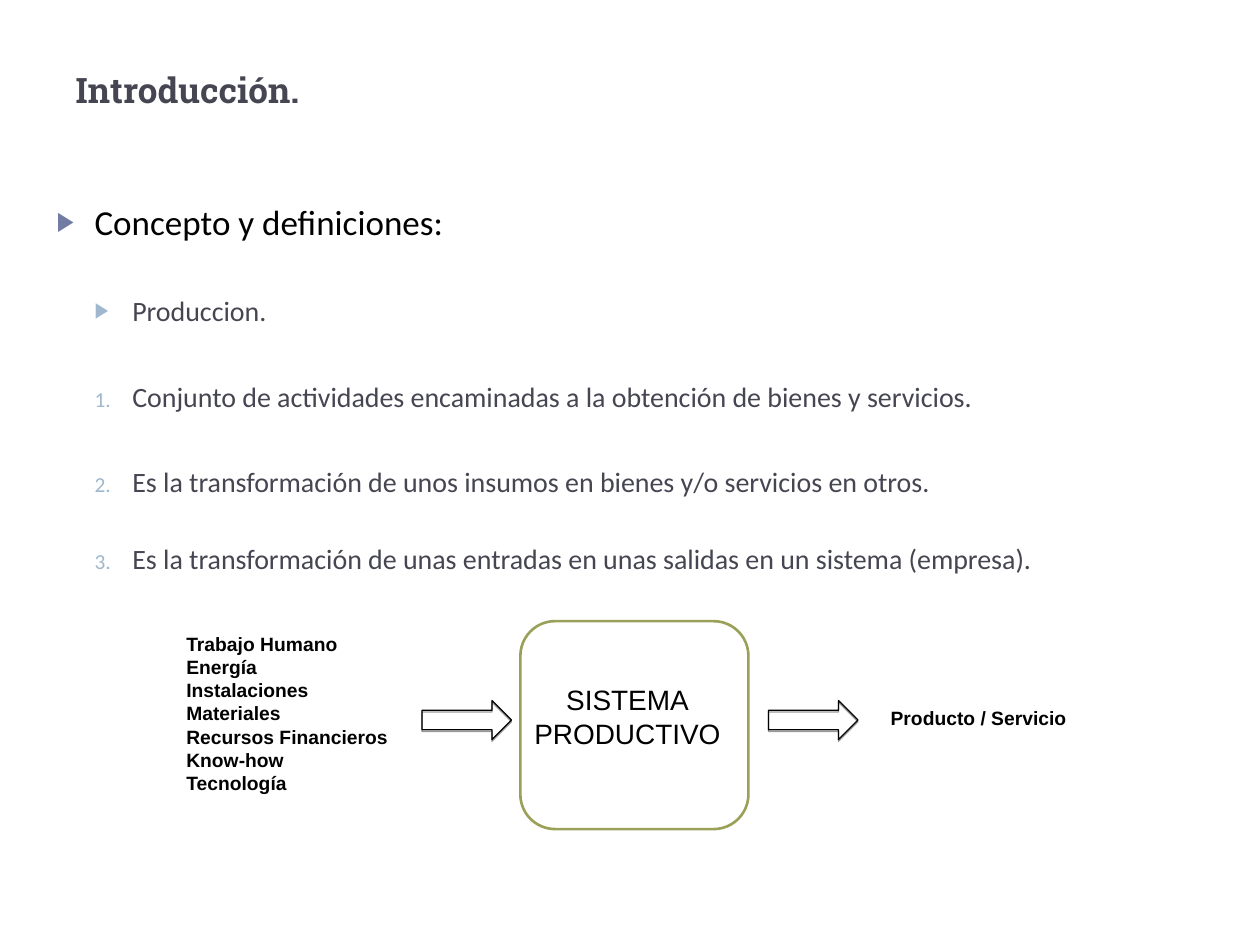
from dataclasses import dataclass

from lxml import etree
from pptx import Presentation, util as u
from pptx.dml.color import RGBColor
from pptx.enum import shapes, text
from pptx.oxml import ns

COLS, ROWS = 100, 75


@dataclass(frozen=True)
class Theme:
    heading_font: str = "Roboto Slab"
    body_font: str = "Calibri"
    diagram_font: str = "Arial"
    heading: str = "464653"
    ink: str = "000000"
    bullet: str = "727CA3"
    sub_bullet: str = "9FB8CD"
    frame: str = "9AA058"
    large: int = 20
    medium: int = 16
    small: int = 11


def add_xml(parent, tag, **attrs):
    return etree.SubElement(parent, ns.qn(tag), attrs)


class Deck:
    def __init__(self, theme):
        self.theme = theme
        self.prs = Presentation()
        self.prs.slide_width, self.prs.slide_height = u.Inches(10), u.Inches(7.5)
        self.s = self.prs.slides.add_slide(self.prs.slide_layouts[1])

    def box(self, col, row, cols, rows):
        """Convert grid cells to left, top, width and height."""
        cw, rh = self.prs.slide_width / COLS, self.prs.slide_height / ROWS
        return [round(v) for v in (col * cw, row * rh, cols * cw, rows * rh)]

    def place(self, sp, cells):
        sp.left, sp.top, sp.width, sp.height = self.box(*cells)
        sp.text_frame.auto_size = text.MSO_AUTO_SIZE.NONE
        return sp.text_frame

    def style(self, p, font, size, color, bold=False, align=text.PP_ALIGN.LEFT):
        p.alignment = align
        p.font.name, p.font.size, p.font.bold = font, u.Pt(size), bold
        p.font.color.rgb = RGBColor.from_string(color)

    def title(self, words, cells):
        t = self.theme
        tf = self.place(self.s.shapes.title, cells)
        tf.vertical_anchor = text.MSO_ANCHOR.MIDDLE
        tf.text = words
        self.style(tf.paragraphs[0], t.heading_font, t.large, t.heading, True)

    def bullet(self, p, color, numbered):
        pPr = p._p.get_or_add_pPr()
        pPr.set("marL", str(u.Inches(0.3 * (p.level + 1))))
        pPr.set("indent", str(u.Inches(-0.3)))
        add_xml(add_xml(pPr, "a:buClr"), "a:srgbClr", val=color)
        add_xml(pPr, "a:buSzPct", val="76000")
        if numbered:
            add_xml(pPr, "a:buFont", typeface="+mj-lt")
            add_xml(pPr, "a:buAutoNum", type="arabicPeriod")
        else:
            add_xml(pPr, "a:buFont", typeface="Arial")
            add_xml(pPr, "a:buChar", char="▶")

    def outline(self, items, cells):
        """Fill the body with (words, level, numbered, space before) items."""
        t = self.theme
        tf = self.place(self.s.placeholders[1], cells)
        for i, (words, level, numbered, before) in enumerate(items):
            p = tf.add_paragraph() if i else tf.paragraphs[0]
            p.text, p.level, p.space_before = words, level, u.Pt(before)
            self.bullet(p, t.sub_bullet if level else t.bullet, numbered)
            size, color = (t.medium, t.heading) if level else (t.large, t.ink)
            self.style(p, t.body_font, size, color)

    def shape(self, kind, cells, color, width):
        sp = self.s.shapes.add_shape(kind, *self.box(*cells))
        sp.shadow.inherit = False
        sp.fill.background()
        sp.line.color.rgb = RGBColor.from_string(color)
        sp.line.width = u.Pt(width)
        return sp

    def arrow(self, cells):
        t = self.theme
        sp = self.shape(shapes.MSO_SHAPE.RIGHT_ARROW, cells, t.ink, 0.75)
        effects = sp._element.spPr.find(ns.qn("a:effectLst"))
        shadow = add_xml(effects, "a:outerShdw", blurRad="0", dist=str(u.Pt(1)),
                         dir="5400000", rotWithShape="0")
        add_xml(add_xml(shadow, "a:srgbClr", val=t.ink), "a:alpha", val="40000")

    def label(self, lines, cells, size, bold=True, align=text.PP_ALIGN.LEFT, wrap=True):
        t = self.theme
        tf = self.s.shapes.add_textbox(*self.box(*cells)).text_frame
        tf.word_wrap = wrap
        tf.text = "\n".join(lines)
        for p in tf.paragraphs:
            self.style(p, t.diagram_font, size, t.ink, bold, align)


def main():
    theme = Theme()
    deck = Deck(theme)
    deck.title("Introducción.", (5, 1.7, 90, 10.8))
    deck.outline([
        ("Concepto y definiciones:", 0, False, 0),
        ("Produccion.", 1, False, 29.5),
        ("Conjunto de actividades encaminadas a la obtención de bienes y servicios.",
         1, True, 29.5),
        ("Es la transformación de unos insumos en bienes y/o servicios en otros.",
         1, True, 29.5),
        ("Es la transformación de unas entradas en unas salidas en un sistema (empresa).",
         1, True, 25),
    ], (3.5, 15.4, 96.5, 53.7))

    deck.shape(shapes.MSO_SHAPE.ROUNDED_RECTANGLE, (41.3, 49.3, 18.1, 16.5),
               theme.frame, 1.5)
    for col in (33.5, 61):
        deck.arrow((col, 55.6, 7.1, 3.1))
    deck.label(["Trabajo Humano", "Energía", "Instalaciones", "Materiales",
                "Recursos Financieros", "Know-how", "Tecnología"],
               (13.8, 49.7, 18.1, 15.7), theme.small)
    deck.label(["Producto / Servicio"], (69.7, 55.6, 18.1, 2.9), theme.small)
    deck.label(["SISTEMA", "PRODUCTIVO"], (41.4, 53.7, 16.8, 6.4), theme.medium,
               bold=False, align=text.PP_ALIGN.CENTER, wrap=False)
    deck.prs.save("out.pptx")


if __name__ == "__main__":
    main()
